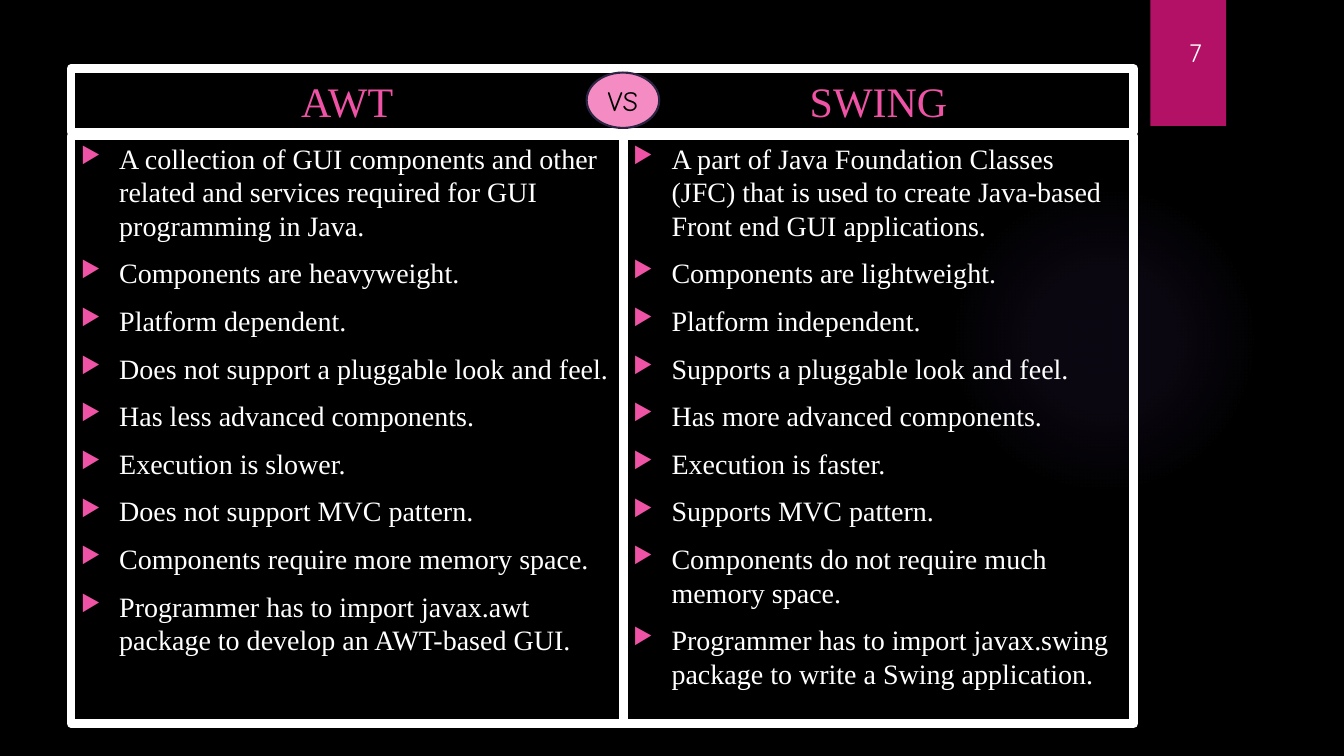
"""Build the AWT versus Swing comparison slide."""
from dataclasses import dataclass

from lxml.etree import SubElement
from pptx import Presentation
from pptx.dml.color import RGBColor as RGB
from pptx.enum.shapes import MSO_SHAPE as SHAPE
from pptx.enum.text import MSO_ANCHOR as ANCHOR, PP_ALIGN as ALIGN
from pptx.oxml import parse_xml
from pptx.oxml.ns import nsdecls, qn
from pptx.shapes.autoshape import Shape
from pptx.slide import Slide
from pptx.text.text import _Paragraph as Paragraph
from pptx.util import Inches, Pt

WIDTH, HEIGHT = Inches(13.333), Inches(7.5)
COLORS = {
    "back": "000000", "text": "FFFFFF", "accent": "EF53A5", "tab": "B31166",
    "badge": "F48CC3", "badge_line": "2C2443", "glow": "9B6BF2",
}
SERIF = "Times New Roman"
GLOW_STOPS = ((0, 7), (36, 6), (69, 0))
HEAD_TOP, HEAD_H = 9.07, 8.4
LIST_TOP, LIST_H = 18, 77.73


@dataclass(frozen=True)
class Area:
    """Position and size in percent of the slide."""
    x: float
    y: float
    w: float
    h: float


@dataclass(frozen=True)
class Style:
    """Font, size in points and colour of a run."""
    font: str
    size: float
    color: str


@dataclass(frozen=True)
class Column:
    """One side of the comparison."""
    x: float
    w: float
    heading: str
    points: tuple[str, ...]


HEADING = Style(SERIF, 30, "accent")
POINT = Style(SERIF, 20, "text")
NUMBER = Style("Quicksand", 18, "text")
VERSUS = Style("Comic Neue", 20, "back")

COLUMNS = (
    Column(5.28, 41.1, "AWT", (
        "A collection of GUI components and other related and services "
        "required for GUI programming in Java.",
        "Components are heavyweight.",
        "Platform dependent.",
        "Does not support a pluggable look and feel.",
        "Has less advanced components.",
        "Execution is slower.",
        "Does not support MVC pattern.",
        "Components require more memory space.",
        "Programmer has to import javax.awt package to develop an "
        "AWT-based GUI.",
    )),
    Column(46.38, 37.98, "SWING", (
        "A part of Java Foundation Classes (JFC) that is used to create "
        "Java-based Front end GUI applications.",
        "Components are lightweight.",
        "Platform independent.",
        "Supports a pluggable look and feel.",
        "Has more advanced components.",
        "Execution is faster.",
        "Supports MVC pattern.",
        "Components do not require much memory space.",
        "Programmer has to import javax.swing package to write a Swing "
        "application.",
    )),
)


def rgb(name: str) -> RGB:
    """Look up a colour."""
    return RGB.from_string(COLORS[name])


def add_shape(s: Slide, kind: SHAPE, area: Area, fill: str = "",
              line: str = "", weight: float = 0) -> Shape:
    """Add a shape with a flat fill and outline, each optional."""
    sp = s.shapes.add_shape(
        kind, int(WIDTH * area.x / 100), int(HEIGHT * area.y / 100),
        int(WIDTH * area.w / 100), int(HEIGHT * area.h / 100))
    sp.shadow.inherit = False
    if fill:
        sp.fill.solid()
        sp.fill.fore_color.rgb = rgb(fill)
    else:
        sp.fill.background()
    if line:
        sp.line.color.rgb = rgb(line)
        sp.line.width = Pt(weight)
    else:
        sp.line.fill.background()
    return sp


def add_run(p: Paragraph, text: str, style: Style) -> None:
    """Add one styled run."""
    r = p.add_run()
    r.text = text
    r.font.name = style.font
    r.font.size = Pt(style.size)
    r.font.color.rgb = rgb(style.color)


def add_label(sp: Shape, text: str, style: Style, wrap: bool = True) -> None:
    """Write one centred line in a shape."""
    tf = sp.text_frame
    tf.word_wrap = wrap
    tf.vertical_anchor = ANCHOR.MIDDLE
    p = tf.paragraphs[0]
    p.alignment = ALIGN.CENTER
    add_run(p, text, style)


def add_bullet(p: Paragraph) -> None:
    """Give a paragraph a hanging triangle bullet."""
    pPr = p._p.get_or_add_pPr()
    pPr.set("marL", str(Inches(0.38)))
    pPr.set("indent", str(-Inches(0.38)))
    color = SubElement(pPr, qn("a:buClr"))
    SubElement(color, qn("a:srgbClr"), val=COLORS["accent"])
    SubElement(pPr, qn("a:buSzPct"), val="80000")
    SubElement(pPr, qn("a:buFont"), typeface="OpenSymbol")
    SubElement(pPr, qn("a:buChar"), char="▶")


def add_points(sp: Shape, points: tuple[str, ...]) -> None:
    """Write a bulleted list in a shape."""
    tf = sp.text_frame
    tf.word_wrap = True
    tf.vertical_anchor = ANCHOR.TOP
    for i, text in enumerate(points):
        p = tf.add_paragraph() if i else tf.paragraphs[0]
        add_bullet(p)
        p.alignment = ALIGN.LEFT
        p.line_spacing = 1.0
        p.space_before = Pt(10 if i else 0)
        add_run(p, text, POINT)


def add_glow(s: Slide, area: Area) -> None:
    """Add a faint round glow that fades outwards."""
    sp = add_shape(s, SHAPE.OVAL, area)
    stops = "".join(
        f'<a:gs pos="{pos * 1000}"><a:srgbClr val="{COLORS["glow"]}">'
        f'<a:alpha val="{alpha * 1000}"/></a:srgbClr></a:gs>'
        for pos, alpha in GLOW_STOPS)
    grad = parse_xml(
        f'<a:gradFill {nsdecls("a")}><a:gsLst>{stops}</a:gsLst>'
        '<a:path path="circle"><a:fillToRect l="50000" t="50000" '
        'r="50000" b="50000"/></a:path></a:gradFill>')
    spPr = sp._element.spPr
    spPr.replace(spPr.find(qn("a:noFill")), grad)


def main() -> None:
    """Build and save the slide."""
    prs = Presentation()
    prs.slide_width, prs.slide_height = WIDTH, HEIGHT
    s = prs.slides.add_slide(prs.slide_layouts[6])
    s.background.fill.solid()
    s.background.fill.fore_color.rgb = rgb("back")

    add_glow(s, Area(70.58, 24.4, 23.1, 41.07))
    add_shape(s, SHAPE.RECTANGLE, Area(85.6, 0, 5.63, 16.67), "tab")
    for col in COLUMNS:
        head = Area(col.x, HEAD_TOP, col.w, HEAD_H)
        body = Area(col.x, LIST_TOP, col.w, LIST_H)
        add_label(add_shape(s, SHAPE.RECTANGLE, head, line="text", weight=6),
                  col.heading, HEADING)
        add_points(add_shape(s, SHAPE.RECTANGLE, body, line="text", weight=6),
                   col.points)
    number = Area(87.08, 1.73, 3.75, 10.53)
    add_label(add_shape(s, SHAPE.RECTANGLE, number, "tab"), "7", NUMBER)
    badge = Area(43.65, 9.6, 5.4, 7.33)
    add_label(add_shape(s, SHAPE.OVAL, badge, "badge", "badge_line", 1.5),
              "VS", VERSUS, wrap=False)
    prs.save("out.pptx")


if __name__ == "__main__":
    main()
